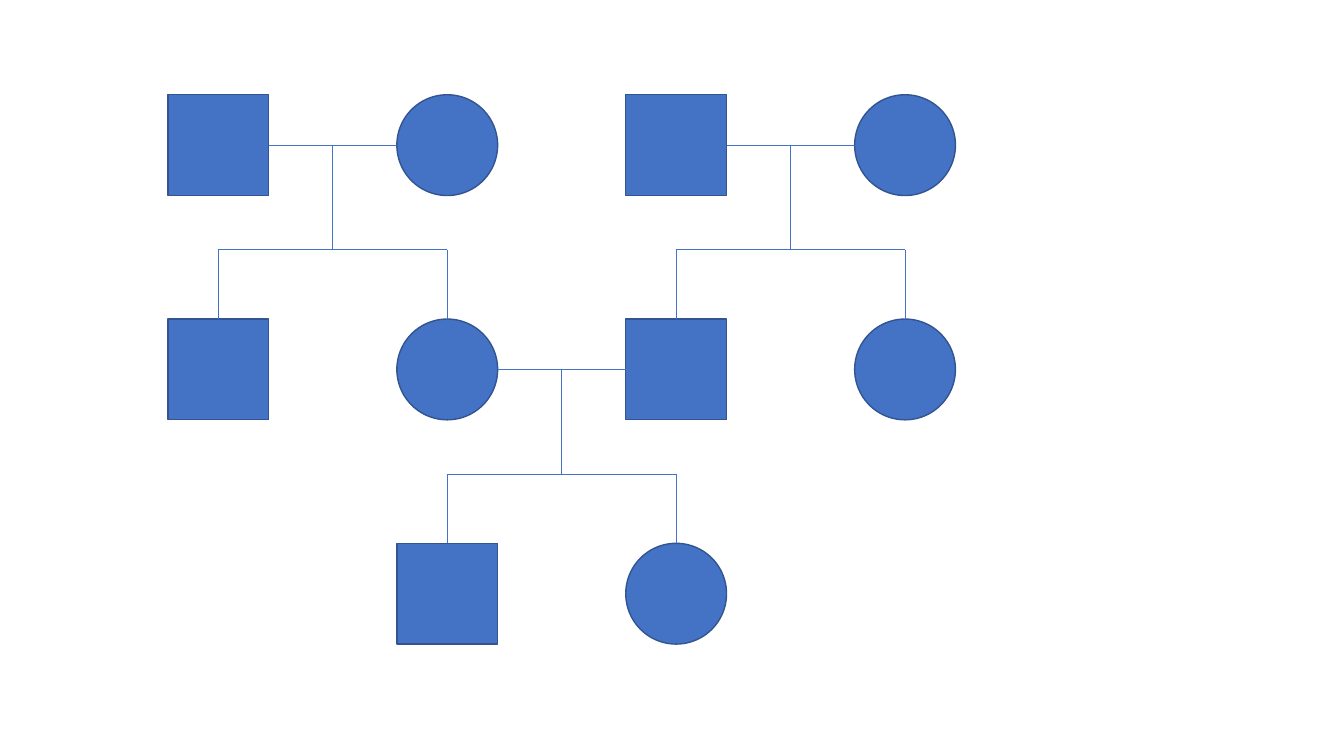
"""Build a three-generation family pedigree slide."""
from pptx import Presentation
from pptx.dml.color import RGBColor
from pptx.enum.shapes import MSO_CONNECTOR, MSO_SHAPE
from pptx.oxml.ns import qn
from pptx.util import Pt
from lxml import etree

STRAIGHT = MSO_CONNECTOR.STRAIGHT
SQUARE, CIRCLE = MSO_SHAPE.RECTANGLE, MSO_SHAPE.OVAL
TOP, LEFT, RIGHT = 0, 1, 3

BLUE = RGBColor(0x44, 0x72, 0xC4)
DARK_BLUE = RGBColor(0x32, 0x54, 0x91)
OUTLINE = {"rgb": DARK_BLUE, "width": Pt(1)}
RELATION = {"rgb": BLUE, "width": Pt(0.5)}

SIZE = 72
FIRST_LEFT, COLUMN_STEP = 120, 163.5
FIRST_TOP, ROW_STEP = 67.7, 160.2
SIBLING_DROP = 110.7

GENERATIONS = [
    {0: SQUARE, 1: CIRCLE, 2: SQUARE, 3: CIRCLE},
    {0: SQUARE, 1: CIRCLE, 2: SQUARE, 3: CIRCLE},
    {1: SQUARE, 2: CIRCLE},
]
COUPLES = [(0, 0), (0, 2), (1, 1)]


def format_line(line, values):
    """Apply colour and width values to a line."""
    for name, value in values.items():
        setattr(line.color if name == "rgb" else line, name, value)


def add_person(slide, row, column, kind):
    """Draw one family member on the grid."""
    left = FIRST_LEFT + column * COLUMN_STEP
    top = FIRST_TOP + row * ROW_STEP
    person = slide.shapes.add_shape(kind, Pt(left), Pt(top), Pt(SIZE), Pt(SIZE))
    person.shadow.inherit = False
    person.fill.solid()
    person.fill.fore_color.rgb = BLUE
    format_line(person.line, OUTLINE)
    return person


def add_relation(slide, start, end):
    """Draw a thin straight line between two points."""
    relation = slide.shapes.add_connector(STRAIGHT, *start, *end)
    format_line(relation.line, RELATION)
    etree.SubElement(relation._element.spPr, qn("a:effectLst"))
    return relation


def add_family(slide, partners, children):
    """Join two partners and hang their children below them."""
    first, second = partners
    start, end = first.left + first.width, second.left
    partner_y = first.top + first.height // 2
    sibling_y = first.top + Pt(SIBLING_DROP)
    middle = (start + end) // 2
    centers = [child.left + child.width // 2 for child in children]

    marriage = add_relation(slide, (start, partner_y), (end, partner_y))
    if first.auto_shape_type == SQUARE:
        marriage.begin_connect(first, RIGHT)
    if second.auto_shape_type == SQUARE:
        marriage.end_connect(second, LEFT)
    add_relation(slide, (middle, partner_y), (middle, sibling_y))
    add_relation(slide, (centers[0], sibling_y), (centers[-1], sibling_y))
    for child, center in zip(children, centers):
        descent = add_relation(slide, (center, sibling_y), (center, child.top))
        descent.end_connect(child, TOP)


def main():
    """Create the deck and save it."""
    deck = Presentation()
    deck.slide_width, deck.slide_height = Pt(960), Pt(540)
    slide = deck.slides.add_slide(deck.slide_layouts[6])
    people = {
        (row, column): add_person(slide, row, column, kind)
        for row, generation in enumerate(GENERATIONS)
        for column, kind in generation.items()
    }
    for row, column in COUPLES:
        partners, children = (
            [people[level, column], people[level, column + 1]]
            for level in (row, row + 1)
        )
        add_family(slide, partners, children)
    deck.save("out.pptx")


if __name__ == "__main__":
    main()
